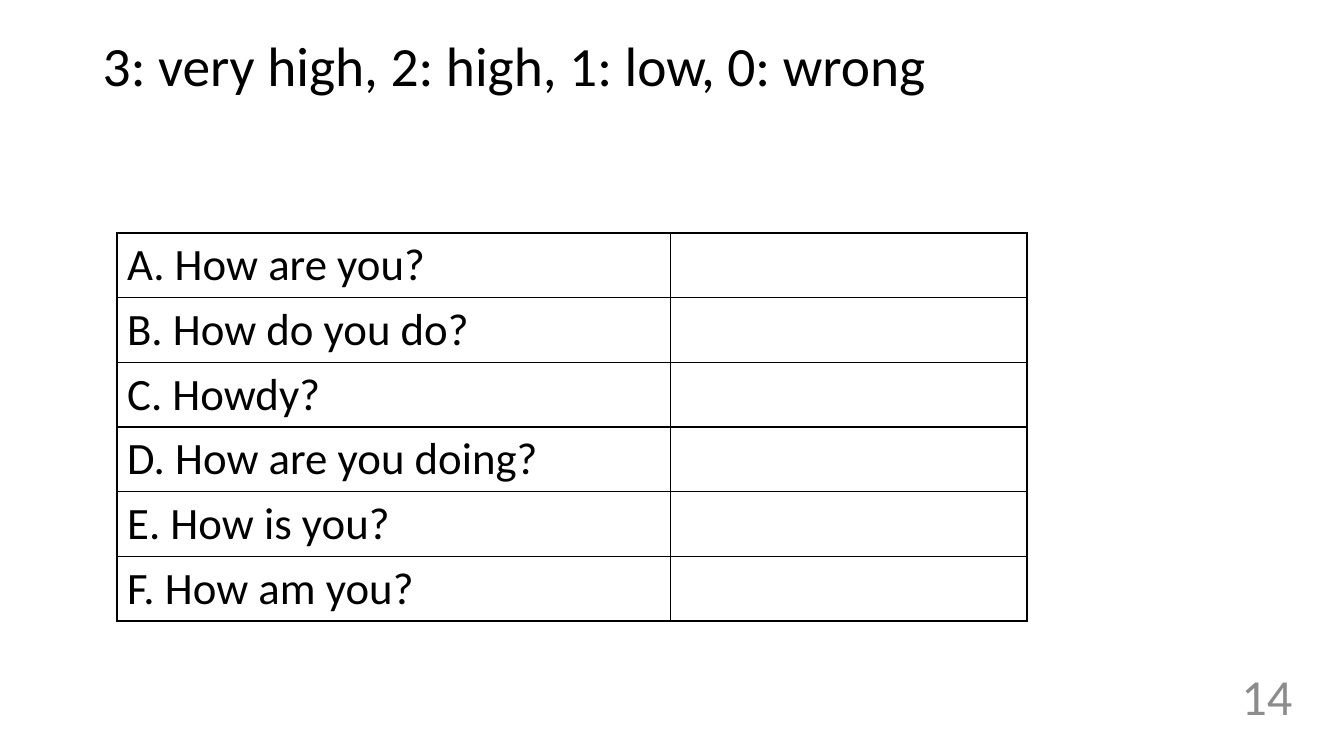
from dataclasses import dataclass

from lxml import etree
from pptx import Presentation, util as u
from pptx.dml.color import RGBColor
from pptx.enum import text
from pptx.oxml import ns

BLACK = RGBColor(0x00, 0x00, 0x00)
WHITE = RGBColor(0xFF, 0xFF, 0xFF)
GREY = RGBColor(0x8C, 0x8C, 0x8C)
FONT = "Calibri"

GREETINGS = ["How are you?", "How do you do?", "Howdy?",
             "How are you doing?", "How is you?", "How am you?"]
COLUMN_WIDTHS = [u.Cm(13.94), u.Cm(8.99)]
ROW_HEIGHT = u.Cm(1.63)


@dataclass
class Label:
    words: str
    left: u.Cm
    top: u.Cm
    width: u.Cm
    height: u.Cm
    size: float
    color: RGBColor
    align: text.PP_ALIGN
    spacing: float


LABELS = [
    Label("3: very high, 2: high, 1: low, 0: wrong", u.Cm(2.34), u.Cm(1.02),
          u.Cm(29.21), u.Cm(1.4), 39.6, BLACK, text.PP_ALIGN.LEFT, 0.9),
    Label("14", u.Cm(29.64), u.Cm(16.43), u.Cm(3.18), u.Cm(2.18),
          36, GREY, text.PP_ALIGN.RIGHT, 1.0),
]


def style(font, size: float, color: RGBColor) -> None:
    font.name = FONT
    font.size = u.Pt(size)
    font.bold = False
    font.color.rgb = color


def draw_label(slide, label: Label) -> None:
    frame = slide.shapes.add_textbox(
        label.left, label.top, label.width, label.height).text_frame
    frame.word_wrap = True
    frame.vertical_anchor = text.MSO_ANCHOR.MIDDLE
    frame.text = label.words
    line = frame.paragraphs[0]
    line.alignment = label.align
    line.line_spacing = label.spacing
    style(line.runs[0].font, label.size, label.color)


def add_borders(cell) -> None:
    properties = cell._tc.get_or_add_tcPr()
    for side in ("a:lnL", "a:lnR", "a:lnT", "a:lnB"):
        border = etree.SubElement(properties, ns.qn(side), w=str(u.Pt(1)))
        fill = etree.SubElement(border, ns.qn("a:solidFill"))
        etree.SubElement(fill, ns.qn("a:srgbClr"), val=str(BLACK))


def draw_greetings(slide, left: u.Cm, top: u.Cm) -> None:
    table = slide.shapes.add_table(
        len(GREETINGS), len(COLUMN_WIDTHS), left, top,
        sum(COLUMN_WIDTHS), ROW_HEIGHT * len(GREETINGS)).table
    table.first_row = False
    table.horz_banding = False
    for column, width in zip(table.columns, COLUMN_WIDTHS):
        column.width = width
    for letter, greeting, row in zip("ABCDEF", GREETINGS, table.rows):
        row.height = ROW_HEIGHT
        for cell in row.cells:
            add_borders(cell)
            cell.fill.solid()
            cell.fill.fore_color.rgb = WHITE
        question = row.cells[0].text_frame
        question.text = f"{letter}. {greeting}"
        style(question.paragraphs[0].runs[0].font, 32, BLACK)


def main() -> None:
    deck = Presentation()
    deck.slide_width, deck.slide_height = u.Cm(33.87), u.Cm(19.05)
    slide = deck.slides.add_slide(deck.slide_layouts[6])

    # Rating scale and page number
    for label in LABELS:
        draw_label(slide, label)

    # Greetings to be rated
    draw_greetings(slide, u.Cm(2.95), u.Cm(5.87))

    deck.save("out.pptx")


if __name__ == "__main__":
    main()
